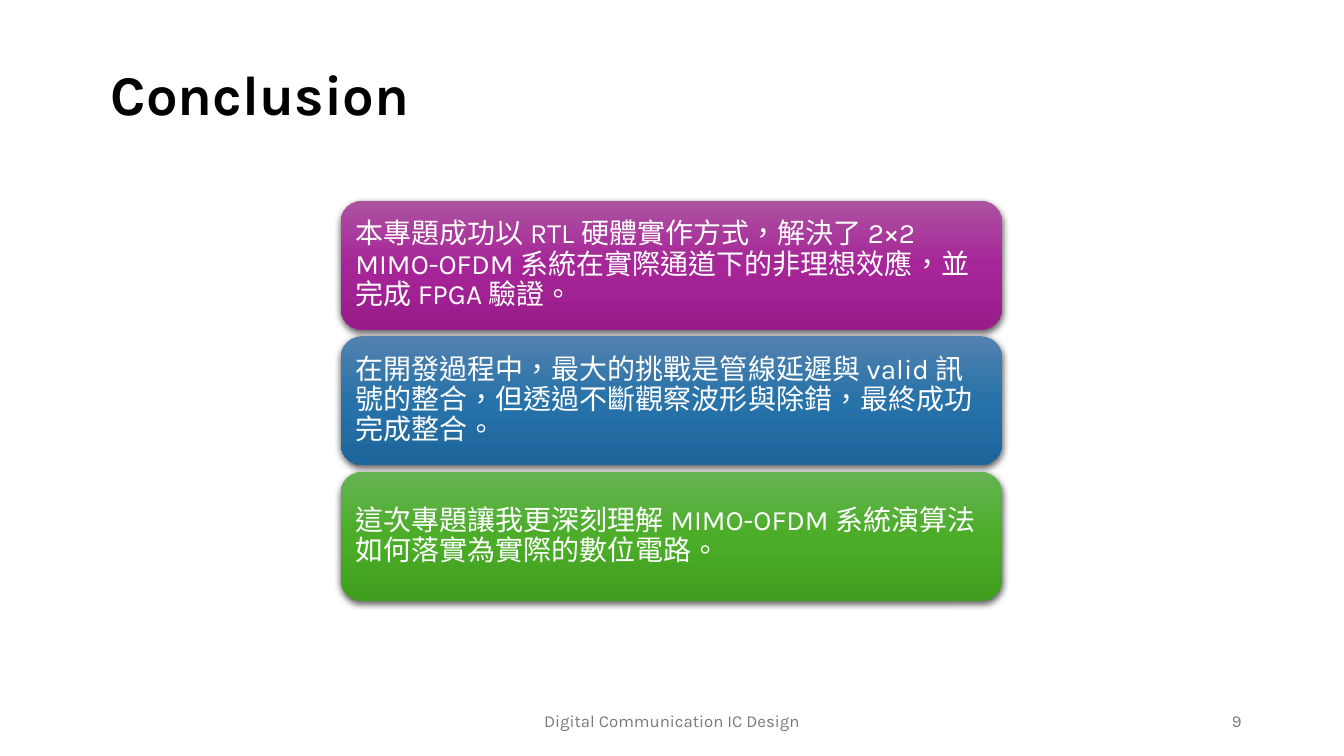
from copy import deepcopy

from lxml.etree import SubElement
from pptx import Presentation
from pptx.dml.color import RGBColor
from pptx.enum.lang import MSO_LANGUAGE_ID
from pptx.enum.shapes import MSO_SHAPE
from pptx.enum.text import MSO_ANCHOR, PP_ALIGN
from pptx.oxml.ns import qn
from pptx.util import Pt

FONT = "Karla"
BLACK = RGBColor(0x00, 0x00, 0x00)
WHITE = RGBColor(0xFF, 0xFF, 0xFF)
GREY = RGBColor(0x79, 0x79, 0x79)
PURPLES = (RGBColor(0xAC, 0x53, 0xA0), RGBColor(0xA6, 0x25, 0x98), RGBColor(0x99, 0x1C, 0x8B))
BLUES = (RGBColor(0x53, 0x82, 0xAF), RGBColor(0x27, 0x72, 0xA9), RGBColor(0x1D, 0x66, 0x9C))
GREENS = (RGBColor(0x66, 0xB3, 0x54), RGBColor(0x4B, 0xAD, 0x28), RGBColor(0x40, 0x9F, 0x1E))

CONCLUSIONS = (
    ("本專題成功以 RTL 硬體實作方式，解決了 2×2 MIMO-OFDM 系統在實際通道下的非理想效應，並完成 FPGA 驗證。", PURPLES),
    ("在開發過程中，最大的挑戰是管線延遲與 valid 訊號的整合，但透過不斷觀察波形與除錯，最終成功完成整合。", BLUES),
    ("這次專題讓我更深刻理解 MIMO-OFDM 系統演算法如何落實為實際的數位電路。", GREENS),
)
CARD_LEFT, CARD_TOP, CARD_WIDTH, CARD_HEIGHT = 243.4, 143.3, 472.3, 92.2
CARD_PITCH = 96.8


def write_text(shape, text, size, color, align=PP_ALIGN.LEFT, bold=False, line_spacing=None):
    frame = shape.text_frame
    frame.text = text
    frame.word_wrap = True
    frame.vertical_anchor = MSO_ANCHOR.MIDDLE
    para = frame.paragraphs[0]
    para.alignment = align
    para.line_spacing = line_spacing
    font = para.runs[0].font
    font.name, font.size, font.bold = FONT, Pt(size), bold
    font.color.rgb = color
    return frame


def fill_gradient(shape, colors):
    shape.fill.gradient()
    shape.fill.gradient_angle = 270
    last_stop = shape._element.spPr.findall(".//" + qn("a:gs"))[-1]
    last_stop.addnext(deepcopy(last_stop))
    for index, (stop, color) in enumerate(zip(shape.fill.gradient_stops, colors)):
        stop.position = index / 2
        stop.color.rgb = color


def add_soft_shadow(shape):
    shape.shadow.inherit = False
    effects = shape._element.spPr.find(qn("a:effectLst"))
    shadow = SubElement(effects, qn("a:outerShdw"), blurRad=str(Pt(4.5)), dist=str(Pt(1.5)),
                        dir="5400000", algn="ctr", rotWithShape="0")
    color = SubElement(shadow, qn("a:srgbClr"), val="000000")
    SubElement(color, qn("a:alpha"), val="63000")


def add_title(page, text):
    title = page.shapes.title
    title.left, title.top, title.width, title.height = Pt(72), Pt(10.8), Pt(472.3), Pt(118)
    write_text(title, text, 40, BLACK, bold=True, line_spacing=0.9)


def add_card(page, top, text, colors):
    card = page.shapes.add_shape(MSO_SHAPE.ROUNDED_RECTANGLE, Pt(CARD_LEFT), Pt(top),
                                 Pt(CARD_WIDTH), Pt(CARD_HEIGHT))
    fill_gradient(card, colors)
    card.line.fill.background()
    add_soft_shadow(card)
    frame = write_text(card, text, 20, WHITE, line_spacing=0.9)
    frame.margin_left = frame.margin_right = frame.margin_top = frame.margin_bottom = Pt(6)
    span = frame.paragraphs[0].runs[0]
    span.font.language_id = MSO_LANGUAGE_ID.TRADITIONAL_CHINESE


def add_footer(page, left, width, text, align):
    box = page.shapes.add_textbox(Pt(left), Pt(500.5), Pt(width), Pt(28.8))
    write_text(box, text, 12, GREY, align)


def main():
    deck = Presentation()
    deck.slide_width, deck.slide_height = Pt(960), Pt(540)
    page = deck.slides.add_slide(deck.slide_layouts[5])

    # Title
    add_title(page, "Conclusion")

    # Stacked conclusion cards
    for index, (text, colors) in enumerate(CONCLUSIONS):
        add_card(page, CARD_TOP + index * CARD_PITCH, text, colors)

    # Footer and slide number
    add_footer(page, 318, 324, "Digital Communication IC Design", PP_ALIGN.CENTER)
    add_footer(page, 678, 216, "9", PP_ALIGN.RIGHT)

    deck.save("out.pptx")


if __name__ == "__main__":
    main()
